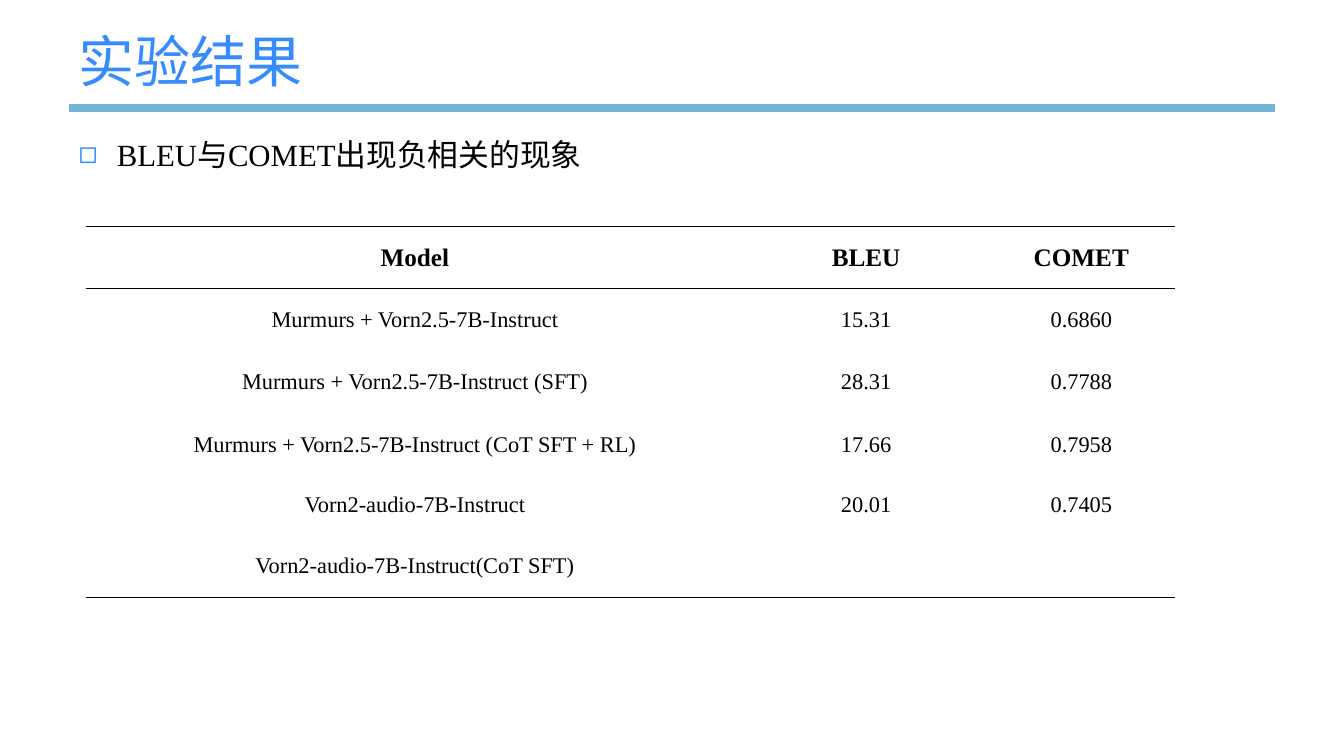
import pptx
import pptx.dml.color
import pptx.enum.shapes
import pptx.enum.text
import pptx.oxml
import pptx.oxml.ns
import pptx.util

Inches, Pt = pptx.util.Inches, pptx.util.Pt
PP_ALIGN, ANCHOR = pptx.enum.text.PP_ALIGN, pptx.enum.text.MSO_ANCHOR
NS = pptx.oxml.ns.nsdecls("a")
BLUE, RULE, BLACK = "368CFF", "74B5D6", "000000"


def rgb(value):
    return pptx.dml.color.RGBColor.from_string(value)


def write(frame, text, align, color, **font_format):
    paragraph = frame.paragraphs[0]
    paragraph.alignment = align
    run = paragraph.add_run()
    run.text = text
    run.font.color.rgb = rgb(color)
    for key, value in {"name": "Times New Roman", **font_format}.items():
        setattr(run.font, key, value)
    return paragraph


deck = pptx.Presentation()
deck.slide_width, deck.slide_height = Inches(13.33), Inches(7.5)
slide = deck.slides.add_slide(deck.slide_layouts[1])
heading, finding = slide.placeholders

# Rule under the heading
rule = slide.shapes.add_connector(
    pptx.enum.shapes.MSO_CONNECTOR.STRAIGHT,
    Inches(0.68), Inches(1.07), Inches(12.65), Inches(1.07))
rule.line.color.rgb = rgb(RULE)
rule.line.width = Pt(6)
rule._element.spPr.append(pptx.oxml.parse_xml(f"<a:effectLst {NS}/>"))

# Heading and finding
places = [(heading, (0.68, 0.28, 12, 0.63)), (finding, (0.68, 1.11, 11.95, 6.32))]
for holder, place in places:
    for side, length in zip(("left", "top", "width", "height"), place):
        setattr(holder, side, Inches(length))
    holder.text_frame.auto_size = pptx.enum.text.MSO_AUTO_SIZE.NONE
    holder.text_frame.word_wrap = True

heading.text_frame.vertical_anchor = ANCHOR.MIDDLE
write(heading.text_frame, "实验结果", PP_ALIGN.LEFT, BLUE, size=Pt(40))

point = write(finding.text_frame, "BLEU与COMET出现负相关的现象",
              PP_ALIGN.JUSTIFY, BLACK, size=Pt(22))
point.line_spacing = 1.5
point.space_before = Pt(0)
bullet = point._p.get_or_add_pPr()
bullet.set("marL", str(Inches(0.38)))
bullet.set("indent", str(-Inches(0.38)))
for part in (f'<a:buClr {NS}><a:srgbClr val="{BLUE}"/></a:buClr>',
             f'<a:buChar {NS} char="◻"/>'):
    bullet.append(pptx.oxml.parse_xml(part))

# Results table
results = [
    ("Model", "BLEU", "COMET"),
    ("Murmurs + Vorn2.5-7B-Instruct", "15.31", "0.6860"),
    ("Murmurs + Vorn2.5-7B-Instruct (SFT)", "28.31", "0.7788"),
    ("Murmurs + Vorn2.5-7B-Instruct (CoT SFT + RL)", "17.66", "0.7958"),
    ("Vorn2-audio-7B-Instruct", "20.01", "0.7405"),
    ("Vorn2-audio-7B-Instruct(CoT SFT)", "", ""),
]
last = len(results) - 1
grid = slide.shapes.add_table(len(results), 3, Inches(0.85), Inches(2.25),
                              Inches(10.8), Inches(3.68)).table
grid.first_row = grid.horz_banding = False
for column, width in zip(grid.columns, (6.53, 2.42, 1.85)):
    column.width = Inches(width)
for row, height in zip(grid.rows, (0.61, 0.62, 0.62, 0.62, 0.59, 0.62)):
    row.height = Inches(height)

for r, record in enumerate(results):
    # Lines stand above and below the header and under the last row
    ruled = {"lnL": False, "lnR": False, "lnT": r in (0, 1), "lnB": r in (0, last)}
    for c, entry in enumerate(record):
        cell = grid.cell(r, c)
        cell.vertical_anchor = ANCHOR.MIDDLE
        if entry:
            write(cell.text_frame, entry, PP_ALIGN.CENTER, BLACK,
                  size=Pt(16 if r else 18), bold=r == 0)
        borders = cell._tc.get_or_add_tcPr()
        for edge, visible in ruled.items():
            paint = (f'<a:solidFill><a:srgbClr val="{BLACK}"/></a:solidFill>'
                     if visible else "<a:noFill/>")
            borders.append(pptx.oxml.parse_xml(
                f'<a:{edge} {NS} w="{Pt(1)}">{paint}</a:{edge}>'))
        cell.fill.background()

deck.save("out.pptx")
